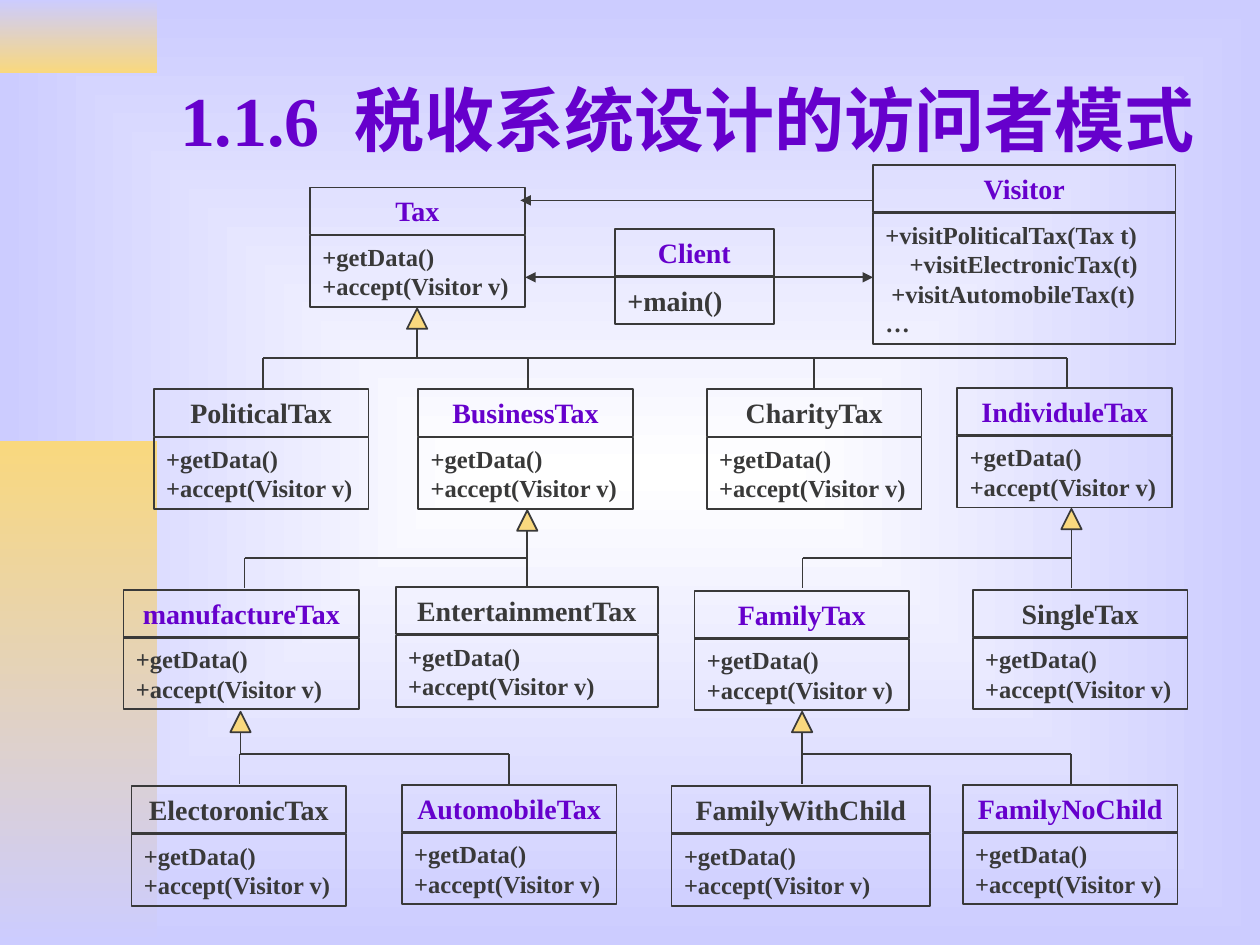
from lxml.etree import SubElement
from pptx import Presentation
from pptx.dml.color import RGBColor
from pptx.enum.shapes import MSO_CONNECTOR, MSO_SHAPE
from pptx.enum.text import MSO_ANCHOR, PP_ALIGN
from pptx.oxml.ns import qn
from pptx.util import Cm, Pt

COLORS = {
    "lavender": "CCCCFF",
    "white": "FFFFFF",
    "gold": "F9D87E",
    "purple": "6600CC",
    "ink": "393939",
}
FONTS = {
    "title": {"name": "Times New Roman", "size": Pt(40), "bold": True},
    "name": {"name": "Times New Roman", "size": Pt(16), "bold": True},
    "method": {"name": "Times New Roman", "size": Pt(14), "bold": True},
}
FRAME = {
    "word_wrap": True,
    "margin_left": Cm(0.25),
    "margin_right": Cm(0.25),
    "margin_top": Cm(0.13),
    "margin_bottom": Cm(0.13),
}
HEADER_HEIGHT, BODY_OFFSET, BODY_HEIGHT = 0.95, 0.97, 1.44
TRIANGLE, DROP = 0.41, 0.6
TAX_METHODS = [("+getData()", 0), ("+accept(Visitor v)", 0)]

# Name, colour, left, top, width in centimetres
TAX_CLASSES = [
    ("Tax", "purple", 6.25, 3.78, 4.33),
    ("PoliticalTax", "ink", 3.1, 7.85, 4.33),
    ("BusinessTax", "purple", 8.43, 7.85, 4.33),
    ("CharityTax", "ink", 14.25, 7.85, 4.33),
    ("IndividuleTax", "purple", 19.3, 7.82, 4.33),
    ("manufactureTax", "purple", 2.49, 11.89, 4.75),
    ("EntertainmentTax", "ink", 7.98, 11.84, 5.28),
    ("FamilyTax", "purple", 14, 11.91, 4.33),
    ("SingleTax", "ink", 19.61, 11.89, 4.33),
    ("ElectoronicTax", "ink", 2.65, 15.85, 4.33),
    ("AutomobileTax", "purple", 8.1, 15.82, 4.33),
    ("FamilyWithChild", "ink", 13.54, 15.85, 5.21),
    ("FamilyNoChild", "purple", 19.41, 15.82, 4.33),
]
# Parent x, triangle top, bar y, child x positions
INHERITANCE = [
    (8.41, 6.22, 7.22, [5.31, 10.64, 16.41, 21.51]),
    (10.63, 10.29, 11.25, [4.93, 10.63]),
    (21.6, 10.26, 11.25, [16.18, 21.6]),
    (4.85, 14.35, 15.2, [4.83, 10.26]),
    (16.17, 14.35, 15.2, [16.17, 21.59]),
]
# Start x, start y, end x, end y
ASSOCIATIONS = [
    (12.4, 5.59, 10.59, 5.59),
    (15.6, 5.59, 17.6, 5.59),
    (17.6, 4.04, 10.49, 4.04),
]


def color(key):
    return RGBColor.from_string(COLORS[key])


def apply_format(target, values):
    for name, value in values.items():
        setattr(target, name, value)


def set_gradient(fill, first, last):
    fill.gradient()
    for stop, position, key in zip(fill.gradient_stops, (0, 1), (first, last)):
        stop.position = position
        stop.color.rgb = color(key)


def set_background(slide):
    fill = slide.background.fill
    set_gradient(fill, "white", "lavender")
    # Rectangular gradient spreading from the centre
    gradient = slide.element.find(".//" + qn("a:gradFill"))
    gradient.remove(gradient.find(qn("a:lin")))
    center = SubElement(gradient, qn("a:path"), path="rect")
    SubElement(center, qn("a:fillToRect"), l="50000", t="50000", r="50000", b="50000")


def add_band(slide, top, height, first, last):
    shape = slide.shapes.add_shape(MSO_SHAPE.RECTANGLE, 0, Cm(top), Cm(3.17), Cm(height))
    shape.shadow.inherit = False
    shape.line.fill.background()
    set_gradient(shape.fill, first, last)
    shape.fill.gradient_angle = 270


def write_lines(shape, lines, font, key, alignment=PP_ALIGN.LEFT, anchor=MSO_ANCHOR.TOP):
    frame = shape.text_frame
    apply_format(frame, {**FRAME, "vertical_anchor": anchor})
    for index, (text, indent) in enumerate(lines):
        paragraph = frame.add_paragraph() if index else frame.paragraphs[0]
        paragraph.alignment = alignment
        if indent:
            paragraph._p.get_or_add_pPr().set("marL", str(Cm(indent)))
        run = paragraph.add_run()
        run.text = text
        apply_format(run.font, FONTS[font])
        run.font.color.rgb = color(key)


def add_outlined(slide, preset, left, top, width, height):
    shape = slide.shapes.add_shape(preset, Cm(left), Cm(top), Cm(width), Cm(height))
    shape.shadow.inherit = False
    shape.fill.background()
    shape.line.color.rgb = color("ink")
    shape.line.width = Pt(1)
    return shape


def add_class(slide, name, key, left, top, width, methods=TAX_METHODS,
              body_height=BODY_HEIGHT, method_font="method"):
    body = add_outlined(slide, MSO_SHAPE.RECTANGLE, left, top + BODY_OFFSET, width, body_height)
    write_lines(body, methods, method_font, "ink")
    header = add_outlined(slide, MSO_SHAPE.RECTANGLE, left, top, width, HEADER_HEIGHT)
    write_lines(header, [(name, 0)], "name", key, PP_ALIGN.CENTER)


def add_line(slide, start_x, start_y, end_x, end_y, arrow=False):
    line = slide.shapes.add_connector(
        MSO_CONNECTOR.STRAIGHT, Cm(start_x), Cm(start_y), Cm(end_x), Cm(end_y))
    line.line.color.rgb = color("ink")
    line.line.width = Pt(1)
    if arrow:
        SubElement(line.line._get_or_add_ln(), qn("a:tailEnd"), type="triangle")
    SubElement(line._element.spPr, qn("a:effectLst"))


def add_inheritance(slide, parent_x, top, bar_y, children):
    triangle = add_outlined(slide, MSO_SHAPE.ISOSCELES_TRIANGLE,
                            parent_x - TRIANGLE / 2, top, TRIANGLE, TRIANGLE)
    triangle.fill.solid()
    triangle.fill.fore_color.rgb = color("gold")
    add_line(slide, parent_x, top + TRIANGLE, parent_x, bar_y)
    add_line(slide, children[0], bar_y, children[-1], bar_y)
    for child_x in children:
        add_line(slide, child_x, bar_y, child_x, bar_y + DROP)


def main():
    presentation = Presentation()
    presentation.slide_width, presentation.slide_height = Cm(25.4), Cm(19.05)
    slide = presentation.slides.add_slide(presentation.slide_layouts[6])

    # Background and side bands
    set_background(slide)
    add_band(slide, 0, 1.47, "lavender", "gold")
    add_band(slide, 8.89, 10.16, "gold", "lavender")

    # Title
    title = slide.shapes.add_textbox(Cm(3.38), Cm(0.71), Cm(21.59), Cm(3.35))
    write_lines(title, [("1.1.6  税收系统设计的访问者模式", 0)], "title", "purple",
                anchor=MSO_ANCHOR.MIDDLE)

    # Tax hierarchy
    for tax_class in TAX_CLASSES:
        add_class(slide, *tax_class)
    for branch in INHERITANCE:
        add_inheritance(slide, *branch)

    # Visitor and client
    visitor_methods = [("+visitPoliticalTax(Tax t)", 0), ("+visitElectronicTax(t)", 0.49),
                       ("+visitAutomobileTax(t)", 0.12), ("…", 0)]
    add_class(slide, "Visitor", "purple", 17.6, 3.33, 6.1, visitor_methods, 2.64)
    add_class(slide, "Client", "purple", 12.4, 4.62, 3.2, [("+main()", 0)],
              HEADER_HEIGHT, "name")
    for association in ASSOCIATIONS:
        add_line(slide, *association, arrow=True)

    presentation.save("out.pptx")


if __name__ == "__main__":
    main()
